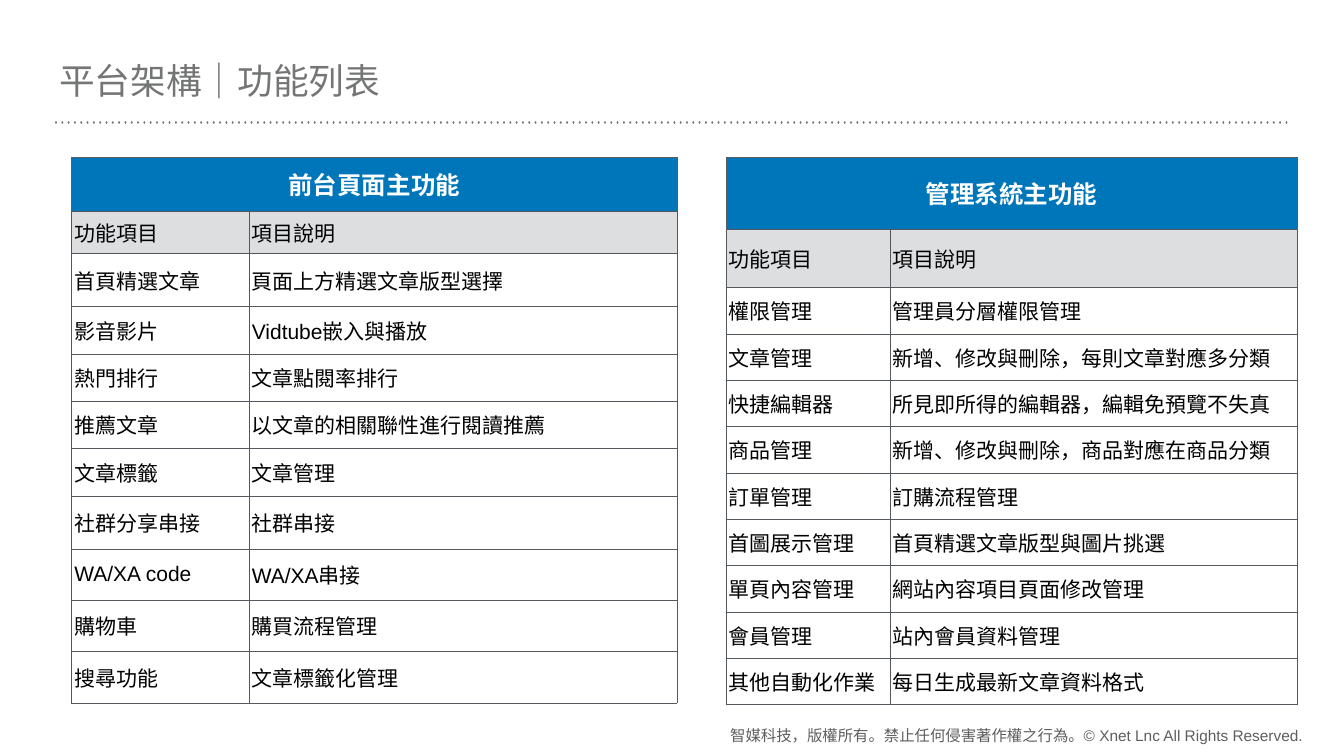
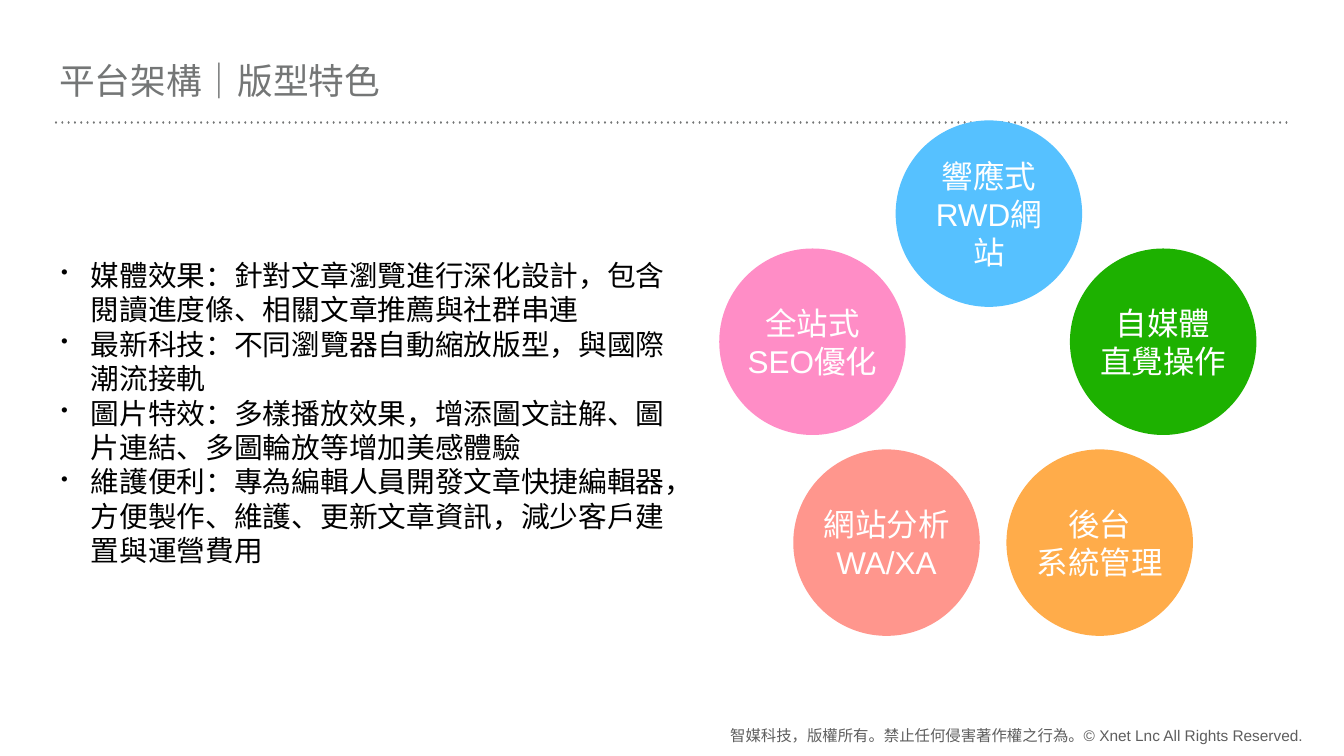
from pptx import Presentation
from pptx.dml.color import RGBColor
from pptx.enum.shapes import MSO_CONNECTOR, MSO_SHAPE
from pptx.enum.text import MSO_ANCHOR, PP_ALIGN
from pptx.oxml.ns import qn
from pptx.util import Pt
from lxml.etree import SubElement

GREY, DARK, EDGE = "747676", "5E5E5E", "53585F"
BLUE, PALE, WHITE, BLACK = "0076BA", "DCDEE0", "FFFFFF", "000000"
NOTE = "智媒科技，版權所有。禁止任何侵害著作權之行為。© Xnet Lnc All Rights Reserved."


def color(text):
    return RGBColor.from_string(text)


def write(frame, lines, size, face, tint, align=PP_ALIGN.LEFT,
          anchor=MSO_ANCHOR.MIDDLE, inset=4.3, bullet=False):
    """Fill a text frame, one paragraph per line, in one style."""
    frame.word_wrap = True
    frame.vertical_anchor = anchor
    frame.margin_left = frame.margin_right = Pt(inset)
    frame.margin_top = frame.margin_bottom = Pt(inset)
    for i, line in enumerate(lines):
        para = frame.add_paragraph() if i else frame.paragraphs[0]
        para.text = line
        para.alignment = align
        if bullet:
            props = para._p.get_or_add_pPr()
            props.set("marL", str(Pt(42.5)))
            props.set("indent", str(-Pt(42.5)))
            SubElement(props, qn("a:buSzPct"), val="70000")
            SubElement(props, qn("a:buChar"), char="•")
        font = para.font
        font.size, font.name = Pt(size), face
        font.color.rgb = color(tint)


deck = Presentation()
deck.slide_width, deck.slide_height = Pt(1920), Pt(1080)

# Shared frame: dotted rule, title, footer
pages = []
for title in ["平台架構｜功能列表", "平台架構｜版型特色"]:
    page = deck.slides.add_slide(deck.slide_layouts[6])
    rule = page.shapes.add_connector(MSO_CONNECTOR.STRAIGHT, Pt(80), Pt(175), Pt(1840), Pt(175))
    rule.line.width = Pt(3)
    rule.line.color.rgb = color(GREY)
    stroke = rule.line._get_or_add_ln()
    stroke.set("cap", "rnd")
    dash = SubElement(stroke, qn("a:custDash"))
    SubElement(dash, qn("a:ds"), d="100000", sp="200000")
    SubElement(rule._element.spPr, qn("a:effectLst"))
    head = page.shapes.add_textbox(Pt(80), Pt(80), Pt(1760), Pt(80))
    write(head.text_frame, [title], 51, "Times New Roman", GREY, anchor=MSO_ANCHOR.TOP)
    foot = page.shapes.add_textbox(Pt(64), Pt(1027.5), Pt(1805), Pt(46))
    write(foot.text_frame, [NOTE], 22, "Arial", DARK, PP_ALIGN.RIGHT, inset=8)
    pages.append(page)
list_page, style_page = pages

# Feature tables: left edge, column widths, row heights, rows
front = [
    ("前台頁面主功能", ""),
    ("功能項目", "項目說明"),
    ("首頁精選文章", "頁面上方精選文章版型選擇"),
    ("影音影片", "Vidtube嵌入與播放"),
    ("熱門排行", "文章點閱率排行"),
    ("推薦文章", "以文章的相關聯性進行閱讀推薦"),
    ("文章標籤", "文章管理"),
    ("社群分享串接", "社群串接"),
    ("WA/XA code", "WA/XA串接"),
    ("購物車", "購買流程管理"),
    ("搜尋功能", "文章標籤化管理"),
]
admin = [
    ("管理系統主功能", ""),
    ("功能項目", "項目說明"),
    ("權限管理", "管理員分層權限管理"),
    ("文章管理", "新增、修改與刪除，每則文章對應多分類"),
    ("快捷編輯器", "所見即所得的編輯器，編輯免預覽不失真"),
    ("商品管理", "新增、修改與刪除，商品對應在商品分類"),
    ("訂單管理", "訂購流程管理"),
    ("首圖展示管理", "首頁精選文章版型與圖片挑選"),
    ("單頁內容管理", "網站內容項目頁面修改管理"),
    ("會員管理", "站內會員資料管理"),
    ("其他自動化作業", "每日生成最新文章資料格式"),
]
tables = [
    (102, [253.5, 612], [76.5, 61, 75.5] + [67.7] * 4 + [75.5] + [73.5] * 3, front),
    (1037, [234, 582.5], [103, 83] + [66.2] * 9, admin),
]
for left, widths, heights, rows in tables:
    table = list_page.shapes.add_table(
        len(rows), 2, Pt(left), Pt(224.6), Pt(sum(widths)), Pt(sum(heights))).table
    for col, width in zip(table.columns, widths):
        col.width = Pt(width)
    for r, (row, height) in enumerate(zip(rows, heights)):
        table.rows[r].height = Pt(height)
        for c, text in enumerate(row):
            cell = table.cell(r, c)
            props = cell._tc.get_or_add_tcPr()
            for side in ["lnL", "lnR", "lnT", "lnB"]:
                edge = SubElement(props, qn("a:" + side), w=str(Pt(0.25)))
                fill = SubElement(edge, qn("a:solidFill"))
                SubElement(fill, qn("a:srgbClr"), val=EDGE if r else DARK)
            cell.fill.solid()
            cell.fill.fore_color.rgb = color([BLUE, PALE, WHITE][min(r, 2)])
            cell.vertical_anchor = MSO_ANCHOR.MIDDLE
            cell.margin_left = cell.margin_right = Pt(4.3)
            cell.margin_top = cell.margin_bottom = Pt(4.3)
            para = cell.text_frame.paragraphs[0]
            para.text = text
            para.alignment = PP_ALIGN.LEFT if r else PP_ALIGN.CENTER
            font = para.font
            font.size, font.name = Pt(30 if r else 35), "Arial"
            font.bold = r == 0
            font.color.rgb = color(BLACK if r else WHITE)
    table.cell(0, 0).merge(table.cell(0, 1))

# Ring of circles
ring = [
    (1027.5, 355, "FF8DC6", "全站式\vSEO優化"),
    (1279.5, 172, "56C1FF", "響應式\vRWD網站"),
    (1528.5, 355, "1DB100", "自媒體\v直覺操作"),
    (1133.3, 642, "FF968D", "網站分析\vWA/XA"),
    (1437.8, 642, "FFAC4A", "後台\v系統管理"),
]
for left, top, tint, text in ring:
    disc = style_page.shapes.add_shape(MSO_SHAPE.OVAL, Pt(left), Pt(top), Pt(266.4), Pt(266.4))
    disc.shadow.inherit = False
    disc.fill.solid()
    disc.fill.fore_color.rgb = color(tint)
    disc.line.fill.background()
    write(disc.text_frame, [text], 45, "Arial", WHITE, PP_ALIGN.CENTER, inset=0)

# Style notes
notes = [
    "媒體效果：針對文章瀏覽進行深化設計，包含閱讀進度條、相關文章推薦與社群串連",
    "最新科技：不同瀏覽器自動縮放版型，與國際潮流接軌",
    "圖片特效：多樣播放效果，增添圖文註解、圖片連結、多圖輪放等增加美感體驗",
    "維護便利：專為編輯人員開發文章快捷編輯器，方便製作、維護、更新文章資訊，減少客戶建置與運營費用",
]
body = style_page.shapes.add_textbox(Pt(83), Pt(302), Pt(911.5), Pt(575))
write(body.text_frame, notes, 41, "Cambria", BLACK, bullet=True)

deck.save("out.pptx")
